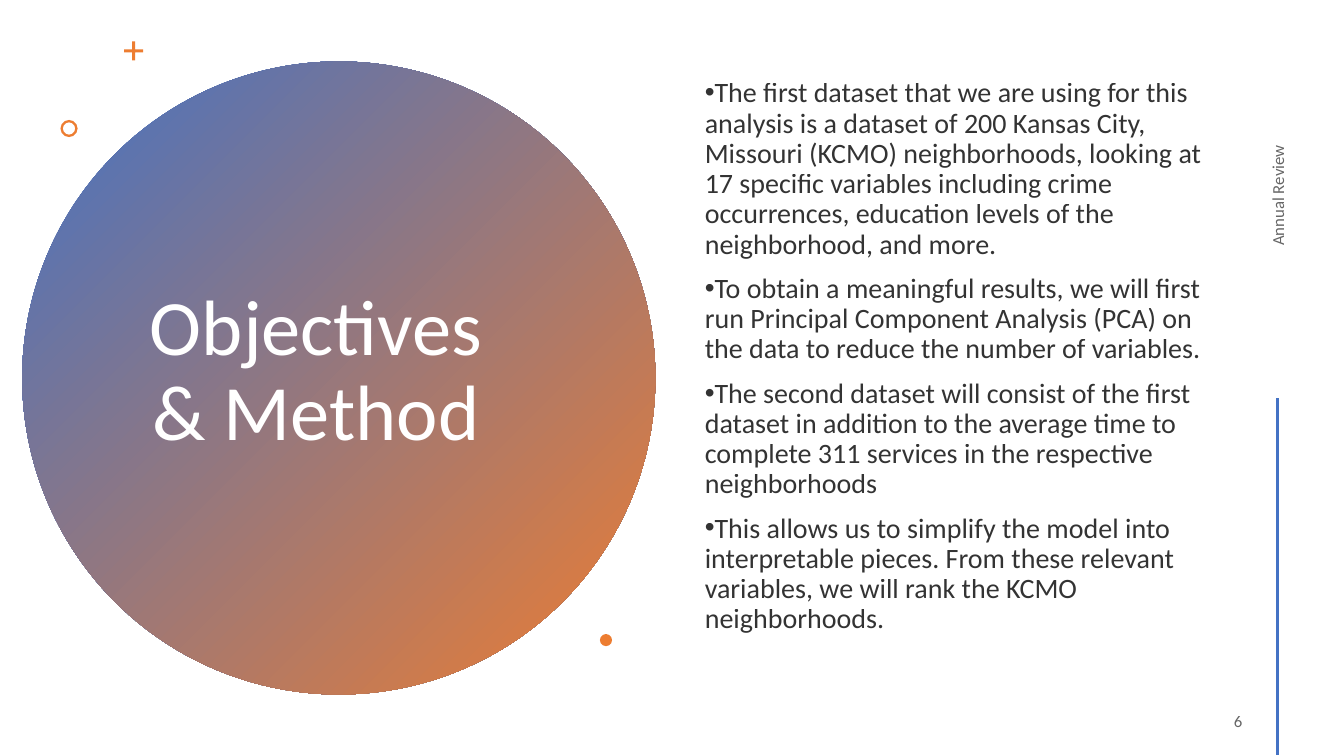
import pptx
import pptx.dml.color
import pptx.enum.shapes
import pptx.enum.text
import pptx.oxml
import pptx.oxml.ns
import pptx.util
from dataclasses import dataclass

SHAPE = pptx.enum.shapes.MSO_SHAPE
ALIGN = pptx.enum.text.PP_ALIGN

# Content
TITLE = "Objectives & Method"
POINTS = [
    "The first dataset that we are using for this analysis is a dataset of 200 Kansas City, "
    "Missouri (KCMO) neighborhoods, looking at 17 specific variables including crime "
    "occurrences, education levels of the neighborhood, and more.",
    "To obtain a meaningful results, we will first run Principal Component Analysis (PCA) "
    "on the data to reduce the number of variables.",
    "The second dataset will consist of the first dataset in addition to the average time to "
    "complete 311 services in the respective neighborhoods",
    "This allows us to simplify the model into interpretable pieces. From these relevant "
    "variables, we will rank the KCMO neighborhoods.",
]
FOOTER = "Annual Review"
PAGE_NUMBER = "6"


@dataclass(frozen=True)
class Theme:
    font: str = "Calibri"
    blue: str = "4472C4"
    orange: str = "ED7D31"
    white: str = "FFFFFF"
    black: str = "000000"
    title_size: int = 56
    body_size: int = 20
    small_size: int = 12
    line_spacing: float = 0.9
    body_gap: int = 10
    small_gap: int = 6


THEME = Theme()

# Layout: left, top, width, height in cells of a grid with 75 rows
ROWS = 75
DISC = (2.2, 6.1, 62.8, 62.8)
TITLE_BOX = (11.4, 13.6, 39.9, 46.7)
BODY_BOX = (68.9, 5.7, 52.2, 63.8)
BODY_FOOT = 4.9
BULLET_INDENT = 2.5
FOOTER_BOX = (107.3, 17.4, 38.8, 4)
NUMBER_BOX = (94.2, 69.5, 30, 4)
RULE = (126.7, 39.5, 126.7, 74.9)
ACCENTS = [  # shape, place, thickness adjustment
    (SHAPE.CROSS, (12.3, 4.1, 1.9, 1.9), 0.42),
    (SHAPE.DONUT, (6, 11.9, 1.7, 1.7), 0.14),
    (SHAPE.OVAL, (59.5, 62.9, 1.2, 1.2), None),
]

deck = pptx.Presentation()
deck.slide_width = pptx.util.Inches(13.33)
deck.slide_height = pptx.util.Inches(7.5)
page = deck.slides.add_slide(deck.slide_layouts[1])


def cells(*values):
    return [round(value * deck.slide_height / ROWS) for value in values]


def color(code):
    return pptx.dml.color.RGBColor.from_string(code)


def place(box, area):
    box.left, box.top, box.width, box.height = cells(*area)


def add_figure(kind, area):
    figure = page.shapes.add_shape(kind, *cells(*area))
    figure.shadow.inherit = False
    figure.line.fill.background()
    return figure


def write(box, texts, *, size, ink=THEME.black, opacity=None, align=ALIGN.LEFT,
          spacing=None, before=0, after=0, bullet=None):
    frame = box.text_frame
    frame.word_wrap = True
    frame.auto_size = pptx.enum.text.MSO_AUTO_SIZE.NONE
    frame.vertical_anchor = pptx.enum.text.MSO_ANCHOR.MIDDLE
    for index, text in enumerate(texts):
        para = frame.add_paragraph() if index else frame.paragraphs[0]
        para.alignment = align
        para.line_spacing = spacing
        para.space_before = pptx.util.Pt(before)
        para.space_after = pptx.util.Pt(after)
        if bullet:
            settings = para._p.get_or_add_pPr()
            settings.set("marL", "0")
            settings.set("indent", str(-cells(BULLET_INDENT)[0]))
            mark = pptx.oxml.parse_xml(
                f'<a:buChar {pptx.oxml.ns.nsdecls("a")} char="{bullet}"/>')
            settings.append(mark)
        span = para.add_run()
        span.text = text
        span.font.name = THEME.font
        span.font.size = pptx.util.Pt(size)
        span.font.color.rgb = color(ink)
        if opacity:
            alpha = pptx.oxml.parse_xml(
                f'<a:alpha {pptx.oxml.ns.nsdecls("a")} val="{opacity * 1000}"/>')
            span._r.xpath(".//a:srgbClr")[0].append(alpha)


# Gradient disc, moved behind the placeholders
disc = add_figure(SHAPE.OVAL, DISC)
disc.fill.gradient()
disc.fill.gradient_angle = 315
for stop, position, code in zip(disc.fill.gradient_stops, (0, 1), (THEME.blue, THEME.orange)):
    stop.position = position
    stop.color.rgb = color(code)
page.shapes._spTree.insert(2, disc._element)

# Title and list
title = page.shapes.title
place(title, TITLE_BOX)
write(title, [TITLE], size=THEME.title_size, ink=THEME.white, align=ALIGN.CENTER,
      spacing=THEME.line_spacing)

body = page.placeholders[1]
place(body, BODY_BOX)
body.text_frame.margin_bottom = cells(BODY_FOOT)[0]
write(body, POINTS, size=THEME.body_size, opacity=80, spacing=THEME.line_spacing,
      before=THEME.body_gap, bullet="•")

# Small accents around the disc
for kind, area, thickness in ACCENTS:
    accent = add_figure(kind, area)
    accent.fill.solid()
    accent.fill.fore_color.rgb = color(THEME.orange)
    if thickness:
        accent.adjustments[0] = thickness

# Footer and page number
for text, area, turn, align in [
    (FOOTER, FOOTER_BOX, 270, ALIGN.CENTER),
    (PAGE_NUMBER, NUMBER_BOX, 0, ALIGN.RIGHT),
]:
    label = page.shapes.add_textbox(*cells(*area))
    label.rotation = turn
    write(label, [text], size=THEME.small_size, opacity=60, align=align,
          after=THEME.small_gap)

# Vertical rule
rule = page.shapes.add_connector(pptx.enum.shapes.MSO_CONNECTOR.STRAIGHT, *cells(*RULE))
rule.line.color.rgb = color(THEME.blue)
rule.line.width = pptx.util.Pt(2)
rule._element.spPr.append(
    pptx.oxml.parse_xml(f'<a:effectLst {pptx.oxml.ns.nsdecls("a")}/>'))

deck.save("out.pptx")
